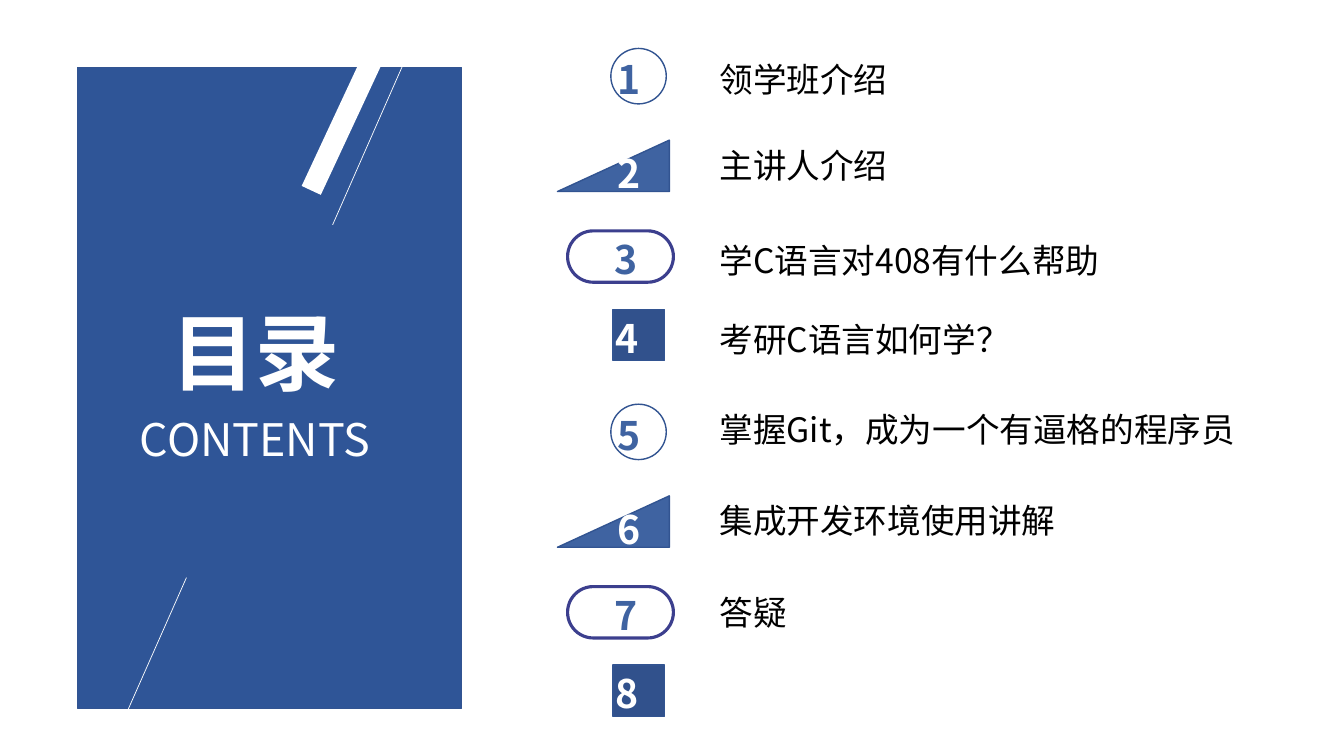
from lxml.etree import SubElement
from pptx import Presentation
from pptx.dml.color import RGBColor
from pptx.enum.shapes import MSO_CONNECTOR, MSO_SHAPE
from pptx.enum.text import MSO_AUTO_SIZE, PP_ALIGN
from pptx.oxml.ns import qn
from pptx.util import Pt

COLORS = {"panel": "2F5597", "edge": "325491", "blue": "3F63A1", "navy": "31518C",
          "violet": "3C3F8E", "white": "FFFFFF", "black": "000000"}
SANS = "Noto Sans CJK SC"
TOPICS = [("领学班介绍", 38.2, 244), ("主讲人介绍", 100.1, 244),
          ("学C语言对408有什么帮助", 167.8, 353), ("考研C语言如何学？", 223.9, 403),
          ("掌握Git，成为一个有逼格的程序员", 288.7, 394),
          ("集成开发环境使用讲解", 353.5, 385), ("答疑", 419, 244)]
BADGES = [
    (MSO_SHAPE.OVAL, (436.3, 34.6, 39.6, 39.6), None, "edge", 1, (434.2, 36), "blue"),
    (MSO_SHAPE.RIGHT_TRIANGLE, (398.2, 100.1, 79.9, 36.7), "blue", "edge", 1,
     (434.2, 103.4), "white"),
    (MSO_SHAPE.ROUNDED_RECTANGLE, (405.4, 164.9, 75.6, 36.7), None, "violet", 2.25,
     (432, 164.9), "blue"),
    (MSO_SHAPE.RECTANGLE, (437.8, 221, 36.7, 36.7), "navy", "edge", 1,
     (432.7, 220.8), "white"),
]
CYCLE = 254.1
RAYS = [(237.6, 160.6, 293, 34.6), (77.8, 537.8, 133.2, 412.6)]


def color(name):
    """Return the named colour."""
    return RGBColor.from_string(COLORS[name])


def add_shape(slide, kind, box, fill, line=None, width=1):
    """Draw one preset shape."""
    shape = slide.shapes.add_shape(kind, *map(Pt, box))
    shape.shadow.inherit = False
    if fill:
        shape.fill.solid()
        shape.fill.fore_color.rgb = color(fill)
    else:
        shape.fill.background()
    if line:
        shape.line.color.rgb = color(line)
        shape.line.width = Pt(width)
    else:
        shape.line.fill.background()
    return shape


def add_text(slide, text, box, size, tint, face=SANS, bold=False, align=PP_ALIGN.JUSTIFY):
    """Write one line of text."""
    frame = slide.shapes.add_textbox(*map(Pt, box)).text_frame
    frame.word_wrap = True
    frame.auto_size = MSO_AUTO_SIZE.SHAPE_TO_FIT_TEXT
    para = frame.paragraphs[0]
    para.text = text
    para.alignment = align
    font = para.font
    font.size, font.bold, font.name = Pt(size), bold, face
    font.color.rgb = color(tint)
    SubElement(font._element, qn("a:ea")).set("typeface", face)


def add_ray(slide, ends):
    """Draw one thin white line."""
    ray = slide.shapes.add_connector(MSO_CONNECTOR.STRAIGHT, *map(Pt, ends))
    ray.line.color.rgb = color("white")
    ray.line.width = Pt(0.5)
    SubElement(ray._element.spPr, qn("a:effectLst"))


def add_badge(slide, index):
    """Draw one numbered badge."""
    turn, place = divmod(index, len(BADGES))
    kind, (left, top, wide, high), fill, line, width, (x, y), tint = BADGES[place]
    drop = turn * CYCLE
    shape = add_shape(slide, kind, (left, top + drop, wide, high), fill, line, width)
    if kind == MSO_SHAPE.RIGHT_TRIANGLE:
        shape._element.spPr.xfrm.set("flipH", "1")
    if kind == MSO_SHAPE.ROUNDED_RECTANGLE:
        shape.adjustments[0] = 0.5
    add_text(slide, str(index + 1), (x, y + drop, 43.9, 41), 28, tint, bold=True)


def main():
    """Build the contents slide."""
    deck = Presentation()
    deck.slide_width, deck.slide_height = Pt(960), Pt(540)
    slide = deck.slides.add_slide(deck.slide_layouts[6])
    add_shape(slide, MSO_SHAPE.RECTANGLE, (55.4, 48.2, 274.3, 457.9), "panel", "edge")
    bar = add_shape(slide, MSO_SHAPE.RECTANGLE, (237.6, 33.1, 15.1, 108), "white")
    bar.rotation = 25
    for ends in RAYS:
        add_ray(slide, ends)
    add_text(slide, "目录", (115.2, 211, 154.8, 79.9), 60, "white", "Roboto", True)
    add_text(slide, "CONTENTS", (92.9, 290.9, 200.9, 46.1), 32, "white", "Noto Sans CJK JP")
    for text, top, wide in TOPICS:
        add_text(slide, text, (506.9, top, wide, 36), 24, "black", align=PP_ALIGN.LEFT)
    for index in range(2 * len(BADGES)):
        add_badge(slide, index)
    deck.save("out.pptx")


if __name__ == "__main__":
    main()
